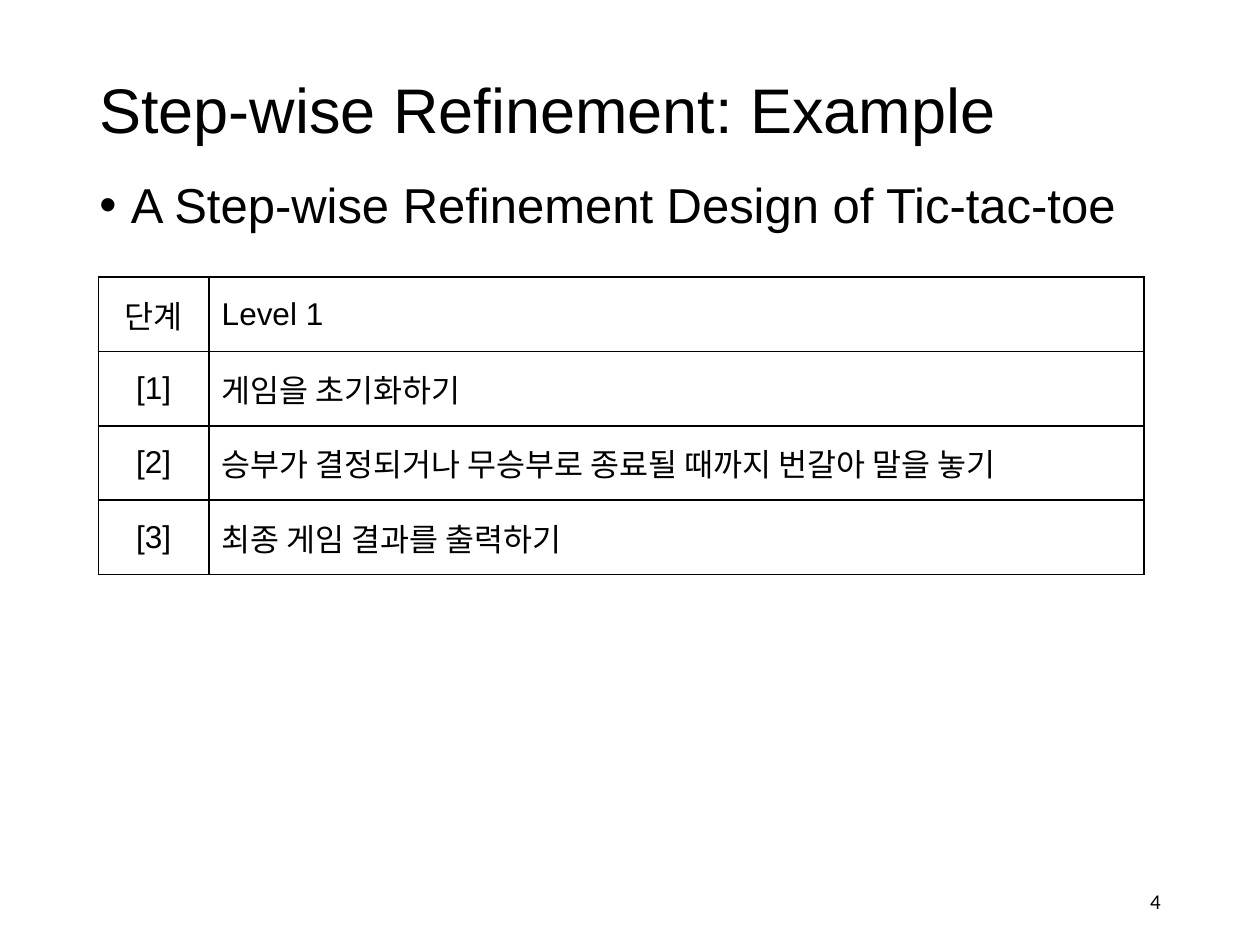
from dataclasses import dataclass

from lxml import etree
from pptx import Presentation
from pptx.dml.color import RGBColor
from pptx.enum.text import MSO_ANCHOR, PP_ALIGN
from pptx.oxml.ns import qn
from pptx.util import Inches, Pt

BLACK = RGBColor(0x00, 0x00, 0x00)
LEFT, CENTER, RIGHT = PP_ALIGN.LEFT, PP_ALIGN.CENTER, PP_ALIGN.RIGHT
TOP, MIDDLE = MSO_ANCHOR.TOP, MSO_ANCHOR.MIDDLE

COLUMN_WIDTHS = (0.88, 7.42)
ROW_HEIGHT = 0.59
BORDER_WIDTH = Pt(1)
STEPS = (
    ("단계", "Level 1"),
    ("[1]", "게임을 초기화하기"),
    ("[2]", "승부가 결정되거나 무승부로 종료될 때까지 번갈아 말을 놓기"),
    ("[3]", "최종 게임 결과를 출력하기"),
)


@dataclass(frozen=True)
class TextBlock:
    text: str
    left: float
    top: float
    width: float
    height: float
    size: int
    font: str = "Arial"
    align: PP_ALIGN = LEFT
    anchor: MSO_ANCHOR = MIDDLE
    line_spacing: float = 0.9
    bulleted: bool = False


TEXT_BLOCKS = (
    TextBlock("Step-wise Refinement: Example", 0.69, 0.4, 8.62, 0.99, 36),
    TextBlock("A Step-wise Refinement Design of Tic-tac-toe",
              0.69, 1.39, 8.62, 5.51, 28, anchor=TOP, bulleted=True),
    TextBlock("4", 7.06, 6.95, 2.25, 0.4, 12, font="Calibri",
              align=RIGHT, line_spacing=1.0),
)


def format_paragraph(paragraph, size: int, font: str, align: PP_ALIGN) -> None:
    paragraph.alignment = align
    for run in paragraph.runs:
        run.font.size = Pt(size)
        run.font.name = font
        run.font.color.rgb = BLACK


def add_bullet(paragraph) -> None:
    properties = paragraph._p.get_or_add_pPr()
    properties.set("marL", str(Inches(0.25)))
    properties.set("indent", str(-Inches(0.25)))
    etree.SubElement(properties, qn("a:buFont"), typeface="Arial")
    etree.SubElement(properties, qn("a:buChar"), char="•")


def add_text_block(slide, block: TextBlock) -> None:
    box = slide.shapes.add_textbox(Inches(block.left), Inches(block.top),
                                   Inches(block.width), Inches(block.height))
    frame = box.text_frame
    frame.word_wrap = True
    frame.vertical_anchor = block.anchor
    frame.text = block.text
    paragraph = frame.paragraphs[0]
    paragraph.line_spacing = block.line_spacing
    format_paragraph(paragraph, block.size, block.font, block.align)
    if block.bulleted:
        add_bullet(paragraph)


def add_borders(cell) -> None:
    """Outline all four sides; must run before the cell's fill is set."""
    properties = cell._tc.get_or_add_tcPr()
    for side in ("a:lnL", "a:lnR", "a:lnT", "a:lnB"):
        line = etree.SubElement(properties, qn(side), w=str(BORDER_WIDTH))
        fill = etree.SubElement(line, qn("a:solidFill"))
        etree.SubElement(fill, qn("a:srgbClr"), val=str(BLACK))


def add_step_table(slide) -> None:
    table = slide.shapes.add_table(
        len(STEPS), len(COLUMN_WIDTHS), Inches(0.78), Inches(2.2),
        Inches(sum(COLUMN_WIDTHS)), Inches(ROW_HEIGHT * len(STEPS))).table
    table.first_row = False
    table.horz_banding = False
    for column, width in zip(table.columns, COLUMN_WIDTHS):
        column.width = Inches(width)
    for row, step in zip(table.rows, STEPS):
        row.height = Inches(ROW_HEIGHT)
        for cell, text, align in zip(row.cells, step, (CENTER, LEFT)):
            cell.text_frame.text = text
            cell.vertical_anchor = MIDDLE
            format_paragraph(cell.text_frame.paragraphs[0], 18, "Arial", align)
            add_borders(cell)
            cell.fill.background()


def main() -> None:
    presentation = Presentation()
    presentation.slide_width = Inches(10)
    presentation.slide_height = Inches(7.5)
    slide = presentation.slides.add_slide(presentation.slide_layouts[6])
    for block in TEXT_BLOCKS:
        add_text_block(slide, block)
    add_step_table(slide)
    presentation.save("out.pptx")


if __name__ == "__main__":
    main()
